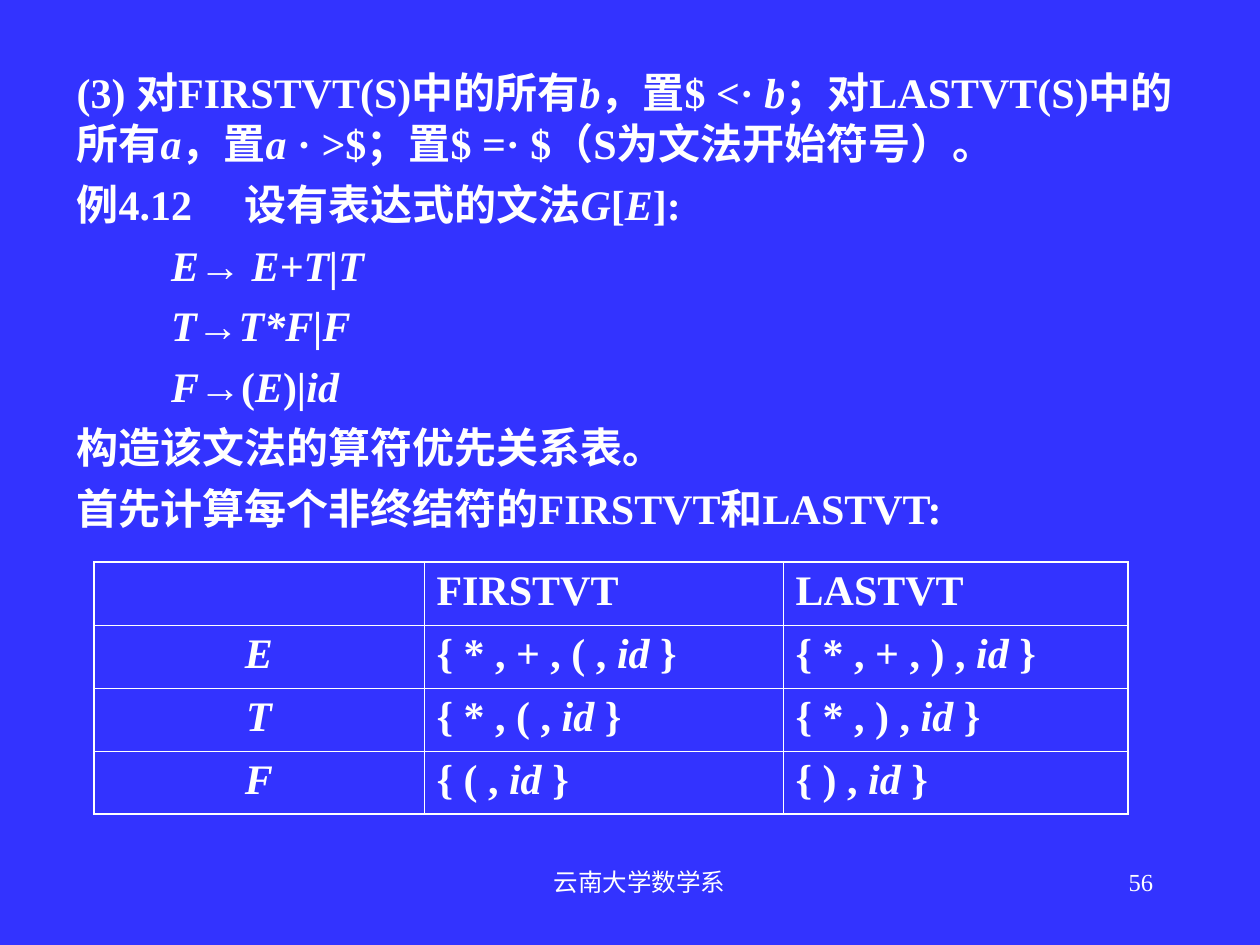
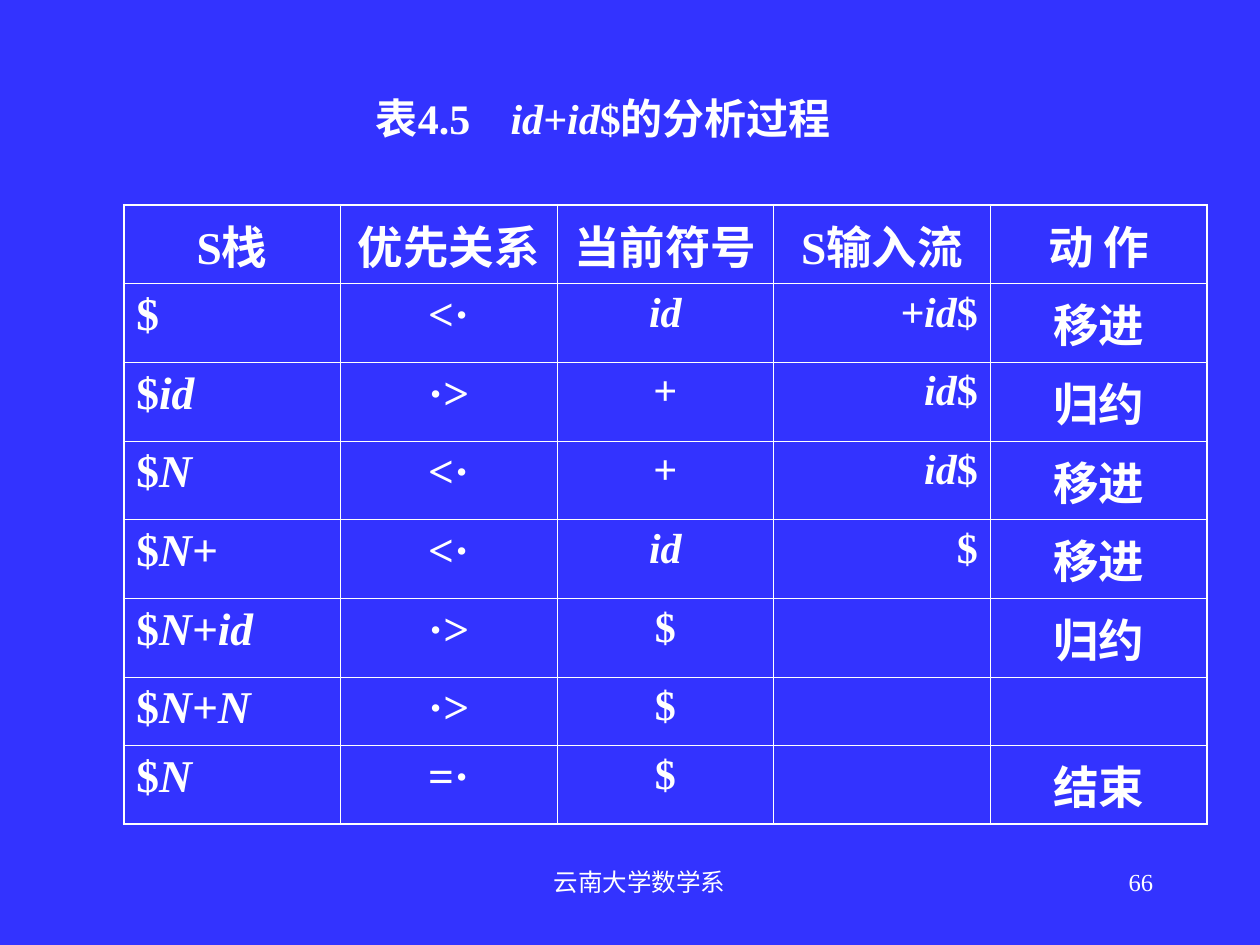
from lxml import etree
from pptx import Presentation
from pptx.dml.color import RGBColor
from pptx.enum import text
from pptx.oxml import ns
from pptx.util import Pt

BLUE = RGBColor(0x33, 0x33, 0xFF)
WHITE = RGBColor(0xFF, 0xFF, 0xFF)
FONT = "Times New Roman"
LEFT, MID, RIGHT = text.PP_ALIGN.LEFT, text.PP_ALIGN.CENTER, text.PP_ALIGN.RIGHT
THICK, THIN = Pt(1.08), Pt(0.45)


def write(para, words, size=24, bold=True, align=LEFT, tab=None):
    """Fill a paragraph; each underscore in words switches italics on or off."""
    para.alignment = align
    if tab:
        stops = etree.SubElement(para._p.get_or_add_pPr(), ns.qn("a:tabLst"))
        etree.SubElement(stops, ns.qn("a:tab"), pos=str(Pt(tab)), algn="l")
    for i, part in enumerate(words.split("_")):
        if part:
            run = para.add_run()
            run.text = part
            font = run.font
            font.name, font.size = FONT, Pt(size)
            font.bold, font.italic = bold, i % 2 == 1
            font.color.rgb = WHITE


def grid(slide, left, top, widths, heights):
    """Add an unfilled table with a thick frame and thin inner lines."""
    rows, cols = len(heights), len(widths)
    table = slide.shapes.add_table(rows, cols, Pt(left), Pt(top),
                                   Pt(sum(widths)), Pt(sum(heights))).table
    table.first_row = table.horz_banding = False
    for col, width in zip(table.columns, widths):
        col.width = Pt(width)
    for r, height in enumerate(heights):
        table.rows[r].height = Pt(height)
        for c in range(cols):
            cell = table.cell(r, c)
            props = cell._tc.get_or_add_tcPr()
            edges = {"L": c == 0, "R": c == cols - 1,
                     "T": r == 0, "B": r == rows - 1}
            for side, outer in edges.items():
                line = etree.SubElement(props, ns.qn("a:ln" + side),
                                        w=str(THICK if outer else THIN))
                fill = etree.SubElement(line, ns.qn("a:solidFill"))
                etree.SubElement(fill, ns.qn("a:srgbClr"), val=str(WHITE))
            cell.fill.background()
    return table


deck = Presentation()
deck.slide_width, deck.slide_height = Pt(720), Pt(540)

# Background and footer of both slides
pages = []
for number in ("56", "66"):
    slide = deck.slides.add_slide(deck.slide_layouts[6])
    slide.background.fill.solid()
    slide.background.fill.fore_color.rgb = BLUE
    for left, width, words, align in ((246, 239, "云南大学数学系", MID),
                                      (516, 150, number, RIGHT)):
        box = slide.shapes.add_textbox(Pt(left), Pt(492), Pt(width), Pt(36))
        box.text_frame.word_wrap = True
        write(box.text_frame.paragraphs[0], words, 14, False, align)
    pages.append(slide)
sets, steps = pages

# Rule, grammar and its FIRSTVT and LASTVT sets
body = sets.shapes.add_textbox(Pt(36.7), Pt(31.7), Pt(646.6), Pt(272)).text_frame
body.word_wrap = True
body.margin_top = Pt(6.5)
lines = [
    ("(3) 对FIRSTVT(S)中的所有_b_，置$ <·_ b_；对LASTVT(S)中的所有_a_，置_a _· >$；"
     "置$ =· $（S为文法开始符号）。", 0, None),
    ("例4.12\t设有表达式的文法_G_[_E_]:", 0, 96),
    ("_E→ E+T|T", 54, None),
    ("_T→T*F|F", 54, None),
    ("_F→_(_E_)_|id", 54, None),
    ("构造该文法的算符优先关系表。", 0, None),
    ("首先计算每个非终结符的FIRSTVT和LASTVT:", 0, None),
]
for i, (words, indent, tab) in enumerate(lines):
    para = body.add_paragraph() if i else body.paragraphs[0]
    para.line_spacing = Pt(28.8)
    if i:
        para.space_before = Pt(6)
    if indent:
        para._p.get_or_add_pPr().set("marL", str(Pt(indent)))
    write(para, words, tab=tab)

table = grid(sets, 53.7, 321.2, [188.6, 205.2, 197], [36] * 4)
rows = [
    ("", "FIRSTVT", "LASTVT"),
    ("_E", "{ * , + , ( , _id _}", "{ * , + , ) , _id _}"),
    ("_T", "{ * , ( , _id _}", "{ * , ) , _id _}"),
    ("_F", "{ ( , _id _}", "{ ) , _id _}"),
]
for r, row in enumerate(rows):
    for c, words in enumerate(row):
        write(table.cell(r, c).text_frame.paragraphs[0], words,
              align=LEFT if c else MID)

# Parsing steps of id+id$
table = grid(steps, 70.7, 117, [123.84] * 5, [45] * 6 + [39, 45])
rows = [
    ("S栈", "优先关系", "当前符号", "S输入流", "动 作"),
    ("$", "<·", "_id", "_+id_$", "移进"),
    ("$_id", "·>", "+", "_id_$", "归约"),
    ("$_N", "<·", "+", "_id_$", "移进"),
    ("$_N+", "<·", "_id", "$", "移进"),
    ("$_N+id", "·>", "$", "", "归约"),
    ("$_N+N", "·>", "$", "", ""),
    ("$_N", "=·", "$", "", "结束"),
]
aligns = (LEFT, MID, MID, RIGHT, MID)
sizes = (26, 26, 24, 24, 26)
for r, row in enumerate(rows):
    for c, words in enumerate(row):
        write(table.cell(r, c).text_frame.paragraphs[0], words,
              sizes[c] if r else 26, align=aligns[c] if r else MID)

title = steps.shapes.add_textbox(Pt(201.6), Pt(54.7), Pt(340.6), Pt(30.2)).text_frame
title.word_wrap = True
title.margin_left = Pt(13.2)
para = title.paragraphs[0]
para.line_spacing = 0.8
write(para, "表4.5\t_id+id_$的分析过程", tab=77)

deck.save("out.pptx")
